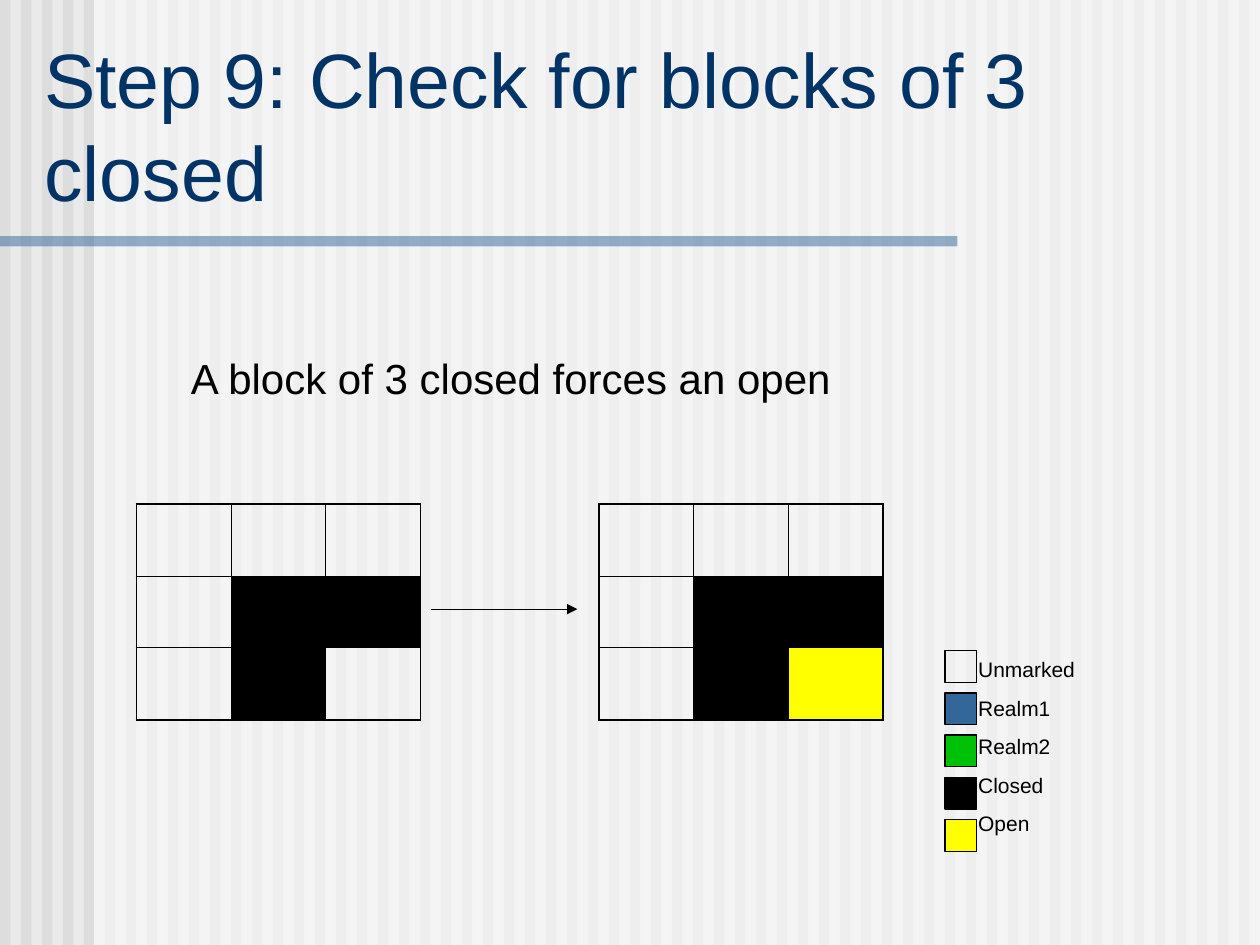
"""Build the slide on blocks of three closed cells."""
from lxml import etree
from pptx import Presentation
from pptx import util as u
from pptx.dml.color import RGBColor
from pptx.enum import shapes, text
from pptx.oxml.ns import qn

COLORS = {
    "backdrop": "EAEAEA", "stripe": "DDDDDD", "white": "FFFFFF", "title": "003366",
    "realm1": "336699", "realm2": "00C106", "closed": "000000", "open": "FFFF00",
    "ink": "000000",
}
TITLE = "Step 9: Check for blocks of 3 closed"
CAPTION = "A block of 3 closed forces an open"
LEGEND = [("Unmarked", None), ("Realm1", "realm1"), ("Realm2", "realm2"),
          ("Closed", "closed"), ("Open", "open")]
BEFORE = [[None, None, None], [None, "closed", "closed"], [None, "closed", None]]
AFTER = BEFORE[:2] + [[None, "closed", "open"]]
GRIDS = [(2.75, BEFORE), (12.07, AFTER)]

WIDTH, HEIGHT = 25.4, 19.05
STRIPES = 60
GRID_TOP, CELL_WIDTH, CELL_HEIGHT = 10.16, 1.91, 1.45
OUTER, INNER = 1.08, 0.45
SWATCH_LEFT, SWATCH_TOP, SWATCH_SIZE, SWATCH_STEP = 19.05, 13.12, 0.64, 0.85


def rgb(name):
    return RGBColor.from_string(COLORS[name])


def paint(fill, name):
    if name is None:
        fill.background()
    else:
        fill.solid()
        fill.fore_color.rgb = rgb(name)


def add_rect(page, place, color, alpha=None, outlined=False):
    rect = page.shapes.add_shape(shapes.MSO_SHAPE.RECTANGLE, *map(u.Cm, place))
    rect.shadow.inherit = False
    paint(rect.fill, color)
    paint(rect.line.fill, "ink" if outlined else None)
    if outlined:
        rect.line.width = u.Pt(0.75)
    if alpha:
        shade = next(rect.element.spPr.iter(qn("a:srgbClr")))
        etree.SubElement(shade, qn("a:alpha"), val=str(alpha * 1000))
    return rect


def write(box, lines, size, color, before=0, anchor=text.MSO_ANCHOR.TOP):
    frame = box.text_frame
    frame.text = "\n".join(lines)
    layout = {"word_wrap": True, "auto_size": text.MSO_AUTO_SIZE.NONE,
              "vertical_anchor": anchor}
    for name, value in layout.items():
        setattr(frame, name, value)
    for para in frame.paragraphs:
        for name, value in {"alignment": text.PP_ALIGN.LEFT,
                            "space_before": u.Pt(before)}.items():
            setattr(para, name, value)
        for span in para.runs:
            for name, value in {"name": "Arial", "size": u.Pt(size)}.items():
                setattr(span.font, name, value)
            span.font.color.rgb = rgb(color)


def add_border(cell, side, width):
    line = etree.SubElement(cell._tc.get_or_add_tcPr(), qn(f"a:ln{side}"),
                            w=str(u.Pt(width)))
    fill = etree.SubElement(line, qn("a:solidFill"))
    etree.SubElement(fill, qn("a:srgbClr"), val=COLORS["ink"])


def add_grid(page, left, rows):
    count, across = len(rows), len(rows[0])
    place = (left, GRID_TOP, across * CELL_WIDTH, count * CELL_HEIGHT)
    table = page.shapes.add_table(count, across, *map(u.Cm, place)).table
    table.first_row = table.horz_banding = False
    for r, row in enumerate(rows):
        for c, color in enumerate(row):
            cell = table.cell(r, c)
            edges = {"L": c == 0, "R": c == across - 1,
                     "T": r == 0, "B": r == count - 1}
            for side, is_outer in edges.items():
                add_border(cell, side, OUTER if is_outer else INNER)
            paint(cell.fill, color)


def add_arrow(page, start, end):
    arrow = page.shapes.add_connector(shapes.MSO_CONNECTOR.STRAIGHT,
                                      *map(u.Cm, start + end))
    arrow.line.width = u.Pt(0.75)
    arrow.line.color.rgb = rgb("ink")
    etree.SubElement(arrow.line._get_or_add_ln(), qn("a:tailEnd"), type="triangle")
    etree.SubElement(arrow.element.spPr, qn("a:effectLst"))


def add_text(page, place, *args, **options):
    write(page.shapes.add_textbox(*map(u.Cm, place)), *args, **options)


def add_title(page, below):
    title = page.shapes.title
    below.element.addnext(title.element)
    place = {"left": 0.64, "top": 1.47, "width": 24.46, "height": 3.02}
    for name, value in place.items():
        setattr(title, name, u.Cm(value))
    write(title, [TITLE], 44, "title", anchor=text.MSO_ANCHOR.BOTTOM)


def main():
    deck = Presentation()
    deck.slide_width, deck.slide_height = u.Cm(WIDTH), u.Cm(HEIGHT)
    page = deck.slides.add_slide(deck.slide_layouts[5])
    paint(page.background.fill, "backdrop")

    pitch = WIDTH / STRIPES
    for index in range(STRIPES):
        add_rect(page, (index * pitch, 0, pitch / 2, HEIGHT), "stripe")
    add_rect(page, (1.9, 0, WIDTH - 1.9, HEIGHT), "white", alpha=50)
    rule = add_rect(page, (0, 4.76, 19.3, 0.21), "realm1", alpha=50)
    add_title(page, rule)

    for index, (label, color) in enumerate(LEGEND):
        top = SWATCH_TOP + index * SWATCH_STEP
        add_rect(page, (SWATCH_LEFT, top, SWATCH_SIZE, SWATCH_SIZE), color,
                 outlined=True)
    add_text(page, (19.47, SWATCH_TOP, 3.81, 3.86), [label for label, color in LEGEND],
             12, "ink", before=7.5)

    add_text(page, (3.6, 6.99, 16.51, 1.27), [CAPTION], 24, "ink", before=15)
    for left, rows in GRIDS:
        add_grid(page, left, rows)
    add_arrow(page, (8.68, 12.28), (11.64, 12.28))
    deck.save("out.pptx")


if __name__ == "__main__":
    main()
